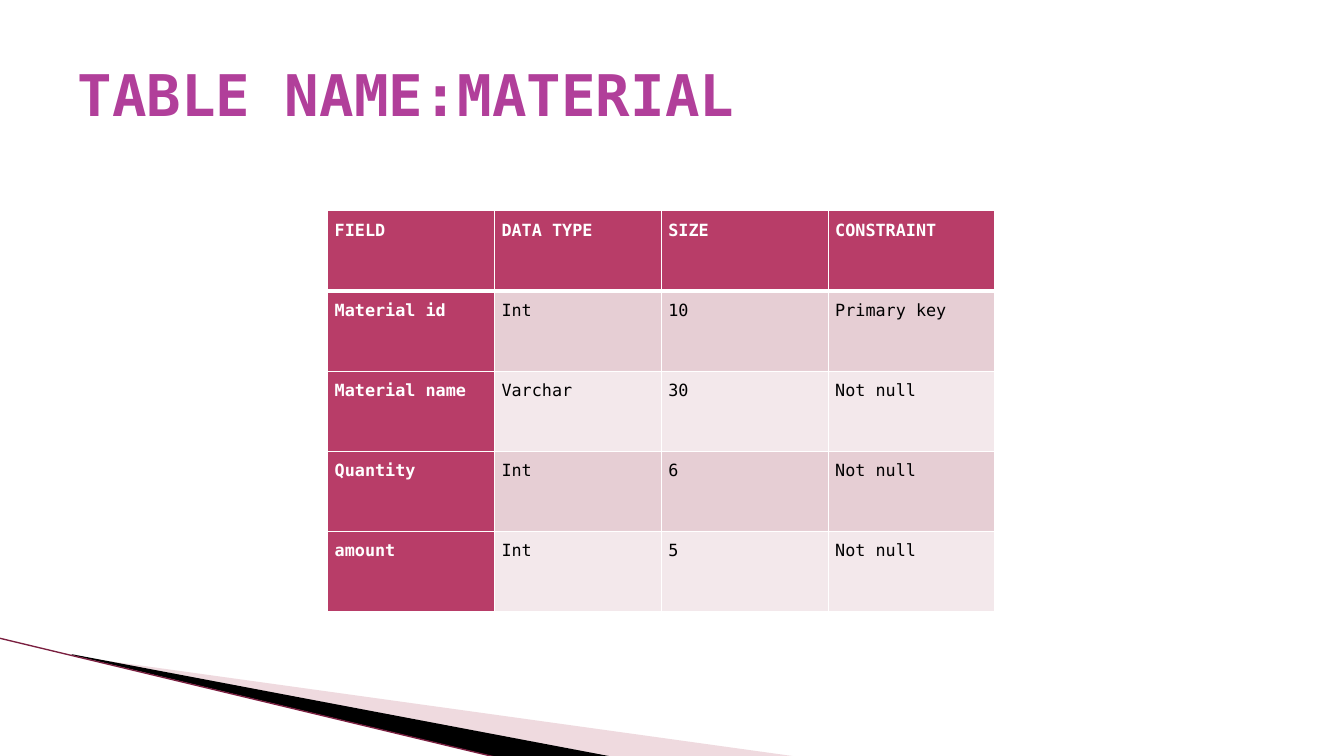
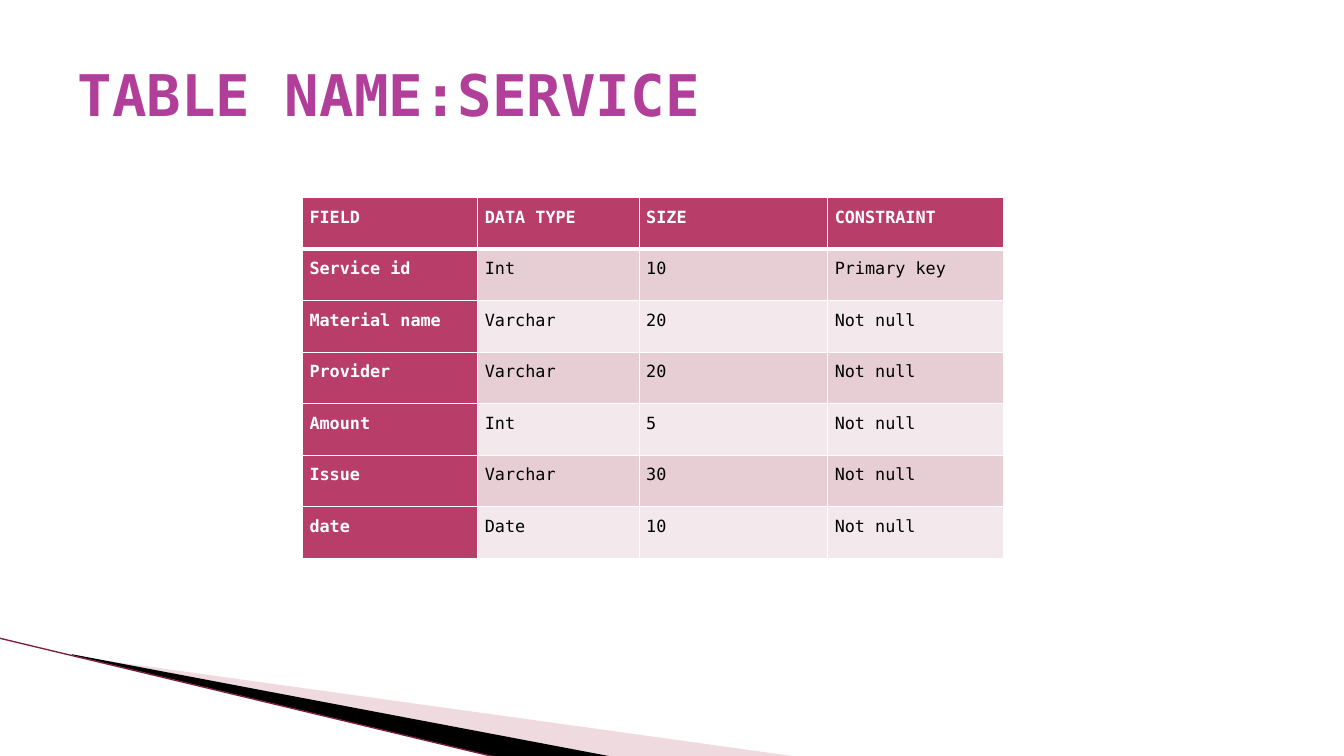
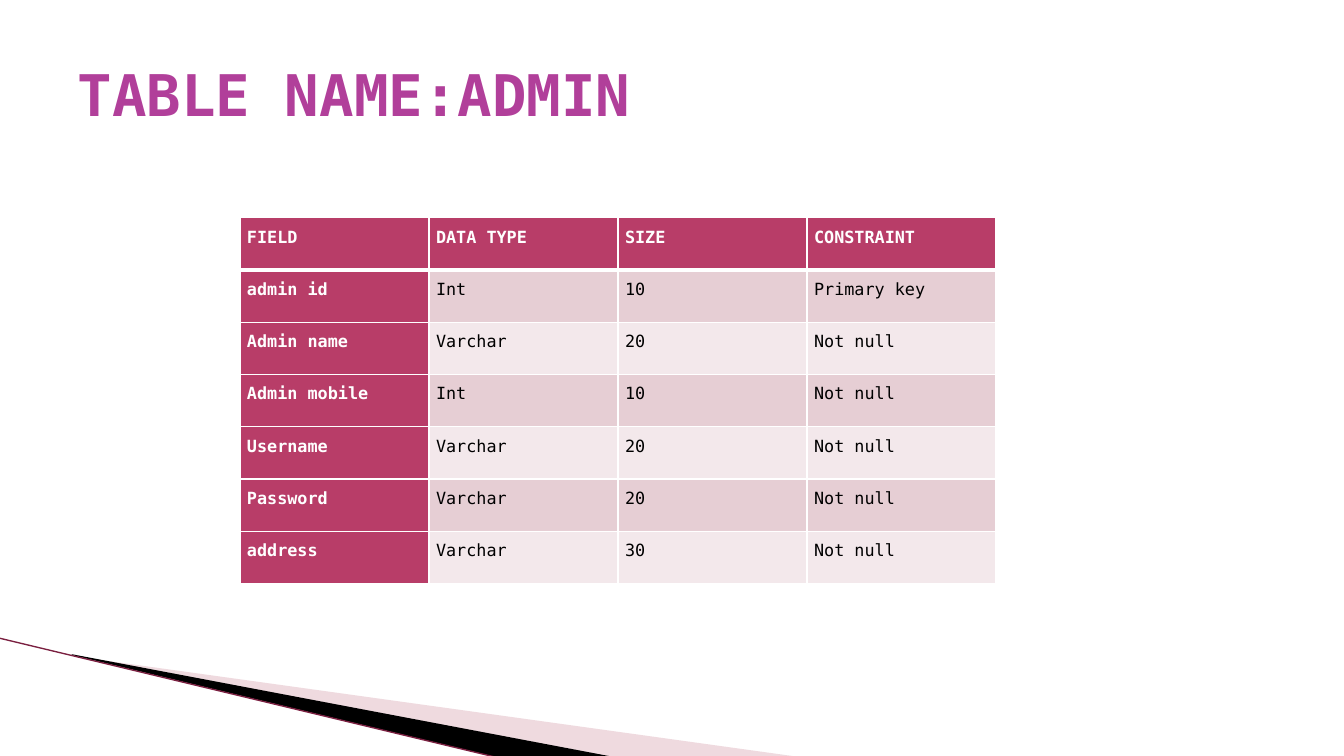
from dataclasses import dataclass

from lxml.etree import SubElement as Sub
from pptx import Presentation
from pptx.dml.color import RGBColor as Rgb
from pptx.enum.shapes import MSO_CONNECTOR as Conn
from pptx.enum.text import MSO_ANCHOR as Anchor, MSO_AUTO_SIZE as Fit, PP_ALIGN as Align
from pptx.oxml.ns import qn
from pptx.util import Inches, Pt


@dataclass(frozen=True)
class Theme:
    font: str = "DejaVu Sans Mono"
    head: str = "B13F9A"
    main: str = "B83D68"
    odd: str = "E6CED4"
    even: str = "F3E8EB"
    wedge: str = "D8A3AF"
    edge: str = "7A1F40"
    black: str = "000000"
    white: str = "FFFFFF"
    big: float = 41
    small: float = 12


class Deck:
    def __init__(self, theme):
        self.theme = theme
        self.prs = Presentation()
        self.prs.slide_width, self.prs.slide_height = Inches(13.33), Inches(7.5)
        self.base = self.prs.slide_layouts[5]
        self.slide = None
        self.place()

    # Title position shared through the layout
    def place(self):
        box = self.base.placeholders[0]
        box.left, box.top = Inches(0.67), Inches(0.3)
        box.width, box.height = Inches(12), Inches(1.25)

    # Corner wedges, drawn once and moved to the layout
    def corner(self):
        t = self.theme
        pale = [(0.73, 6.51), (7.93, 7.51), (6.08, 7.51), (0.73, 6.5)]
        dark = [(0.71, 6.49), (6.09, 7.51), (4.96, 7.52), (0.72, 6.5)]
        parts = [
            self.wedge(pale, (1.04, 5.47, 5.54, 1.58), t.wedge, 40),
            self.wedge(dark, (-0.08, 6.33, 5.54, 0.92), t.black),
            self.line((-0.01, 6.33), (4.95, 7.52), t.edge, 0.95),
        ]
        for part in parts:
            self.base.shapes.element.append(part.element)

    # The outline may reach beyond its frame
    def wedge(self, points, frame, color, alpha=100):
        left, top, width, height = [Inches(v) for v in frame]
        first, *rest = [(Inches(x), Inches(y)) for x, y in points]
        pen = self.slide.shapes.build_freeform(*first)
        pen.add_line_segments(rest)
        shape = pen.convert_to_shape()
        dx, dy = shape.left - left, shape.top - top
        for dot in shape.element.iter(qn("a:pt")):
            dot.set("x", str(int(dot.get("x")) + dx))
            dot.set("y", str(int(dot.get("y")) + dy))
        for route in shape.element.iter(qn("a:path")):
            route.set("w", str(width))
            route.set("h", str(height))
        shape.left, shape.top, shape.width, shape.height = left, top, width, height
        shape.shadow.inherit = False
        shape.line.fill.background()
        shape.fill.solid()
        shape.fill.fore_color.rgb = Rgb.from_string(color)
        if alpha < 100:
            tone = shape.element.spPr.find(".//" + qn("a:srgbClr"))
            Sub(tone, qn("a:alpha"), val=str(alpha * 1000))
        return shape

    def line(self, start, end, color, width):
        ends = [Inches(v) for v in (*start, *end)]
        line = self.slide.shapes.add_connector(Conn.STRAIGHT, *ends)
        line.line.color.rgb = Rgb.from_string(color)
        line.line.width = Pt(width)
        Sub(line.element.spPr, qn("a:effectLst"))
        return line

    def run(self, para, text, size, color, bold):
        run = para.add_run()
        run.text = text
        font = run.font
        font.name, font.size, font.bold = self.theme.font, Pt(size), bold
        font.color.rgb = Rgb.from_string(color)

    # New slide with its title
    def page(self, title):
        self.slide = self.prs.slides.add_slide(self.base)
        if len(self.prs.slides) == 1:
            self.corner()
        frame = self.slide.shapes.title.text_frame
        frame.auto_size, frame.vertical_anchor = Fit.NONE, Anchor.MIDDLE
        para = frame.paragraphs[0]
        para.alignment = Align.LEFT
        self.run(para, title, self.theme.big, self.theme.head, True)

    # Field table; widths are per column, height is for the whole table
    def table(self, left, top, widths, height, rows):
        rows = [("FIELD", "DATA TYPE", "SIZE", "CONSTRAINT"), *rows]
        grid = self.slide.shapes.add_table(
            len(rows), len(widths), Inches(left), Inches(top),
            Inches(sum(widths)), Inches(height)).table
        for col, width in zip(grid.columns, widths):
            col.width = Inches(width)
        for r, row in enumerate(rows):
            grid.rows[r].height = Inches(height / len(rows))
            for c, text in enumerate(row):
                self.cell(grid.cell(r, c), text, r, c)

    def cell(self, cell, text, r, c):
        t = self.theme
        strong = r == 0 or c == 0
        cell.margin_left = cell.margin_right = Inches(0.07)
        cell.margin_top = cell.margin_bottom = 0
        self.rule(cell, top=3 if r == 1 else 1, foot=3 if r == 0 else 1)
        cell.fill.solid()
        fill = t.main if strong else t.odd if r % 2 else t.even
        cell.fill.fore_color.rgb = Rgb.from_string(fill)
        para = cell.text_frame.paragraphs[0]
        para.line_spacing, para.space_after = 1.5, Pt(10)
        self.run(para, text, t.small, t.white if strong else t.black, strong)

    # Cell borders
    def rule(self, cell, top, foot):
        props = cell._tc.get_or_add_tcPr()
        for side, width in (("L", 1), ("R", 1), ("T", top), ("B", foot)):
            line = Sub(props, qn("a:ln" + side), w=str(Pt(width)))
            fill = Sub(line, qn("a:solidFill"))
            Sub(fill, qn("a:srgbClr"), val=self.theme.white)


def main():
    deck = Deck(Theme())

    # Material
    deck.page("TABLE NAME:MATERIAL")
    deck.table(3.25, 2.09, [6.62 / 4] * 4, 3.98, [
        ("Material id", "Int", "10", "Primary key"),
        ("Material name", "Varchar", "30", "Not null"),
        ("Quantity", "Int", "6", "Not null"),
        ("amount", "Int", "5", "Not null"),
    ])

    # Service
    deck.page("TABLE NAME:SERVICE")
    deck.table(3, 1.96, [1.74, 1.6, 1.87, 1.74], 3.58, [
        ("Service id", "Int", "10", "Primary key"),
        ("Material name", "Varchar", "20", "Not null"),
        ("Provider", "Varchar", "20", "Not null"),
        ("Amount", "Int", "5", "Not null"),
        ("Issue", "Varchar", "30", "Not null"),
        ("date", "Date", "10", "Not null"),
    ])

    # Admin
    deck.page("TABLE NAME:ADMIN")
    deck.table(2.38, 2.16, [7.5 / 4] * 4, 3.63, [
        ("admin id", "Int", "10", "Primary key"),
        ("Admin name", "Varchar", "20", "Not null"),
        ("Admin mobile", "Int", "10", "Not null"),
        ("Username", "Varchar", "20", "Not null"),
        ("Password", "Varchar", "20", "Not null"),
        ("address", "Varchar", "30", "Not null"),
    ])

    deck.prs.save("out.pptx")


if __name__ == "__main__":
    main()
